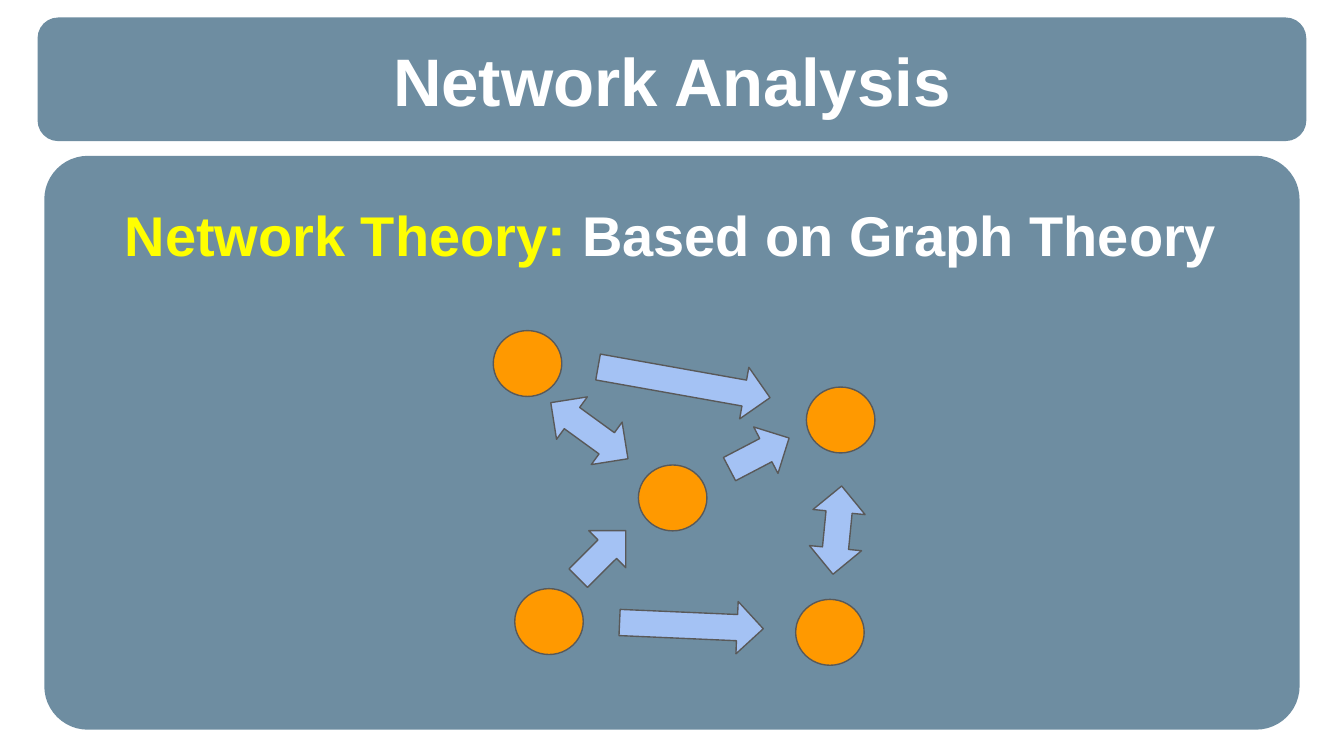
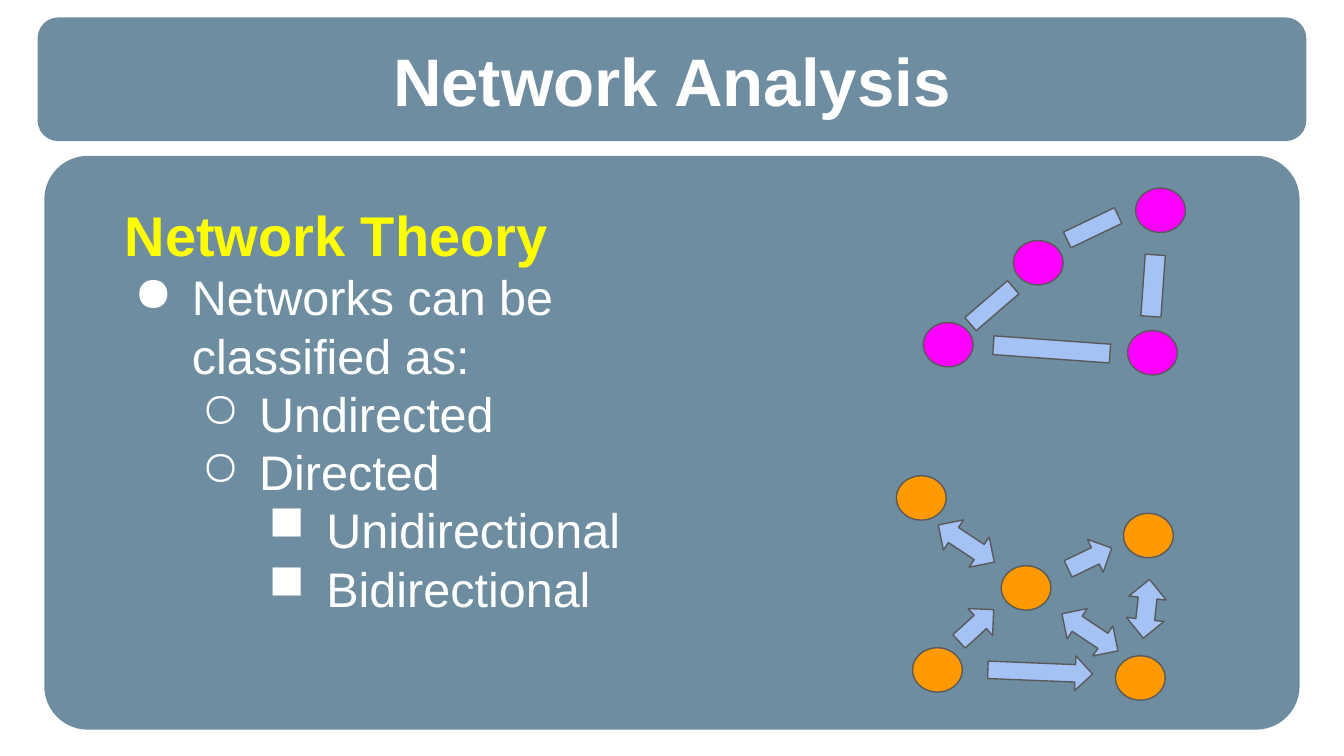
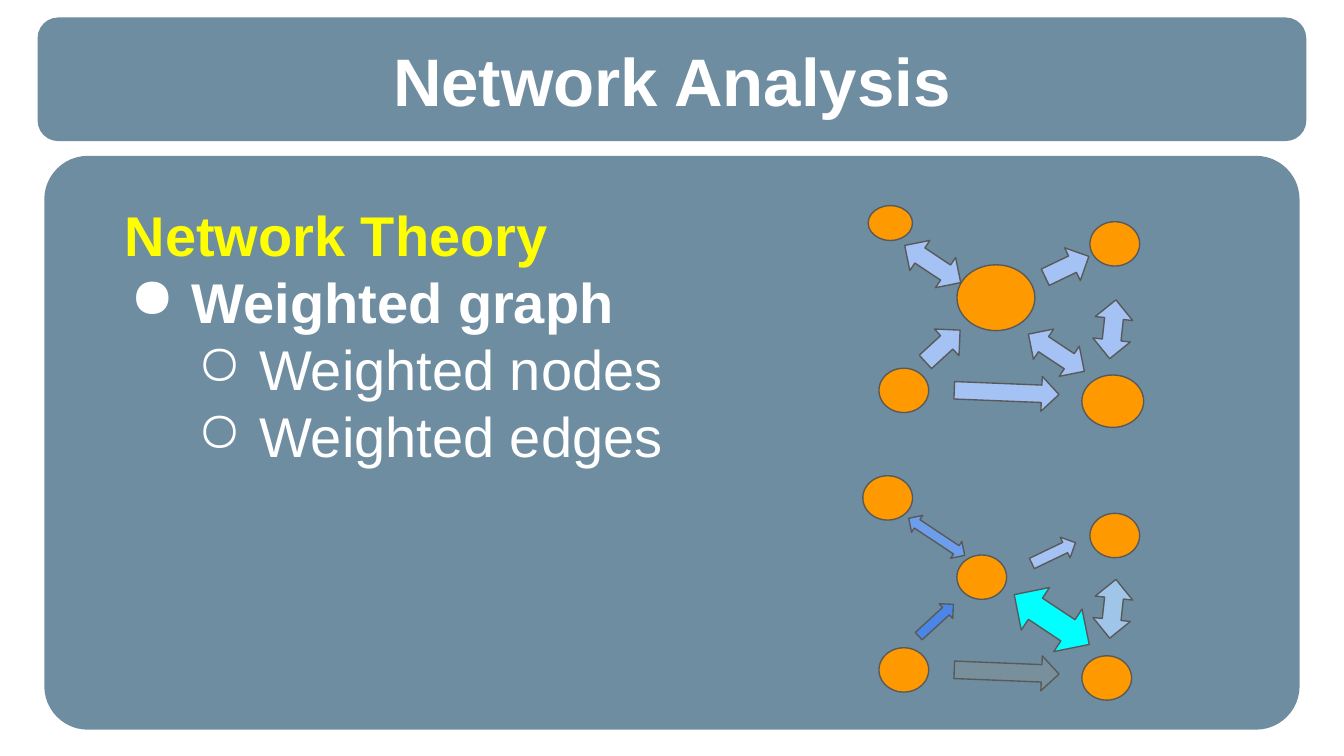
from typing import NamedTuple, Optional

import pptx
import pptx.dml.color
import pptx.enum.shapes
import pptx.enum.text
import pptx.oxml
import pptx.oxml.ns
import pptx.presentation
import pptx.shapes.autoshape
import pptx.slide
import pptx.text.text
import pptx.util

SHAPE = pptx.enum.shapes.MSO_SHAPE
ALIGN = pptx.enum.text.PP_ALIGN
ANCHOR = pptx.enum.text.MSO_ANCHOR

# The grid has 100 columns and 56.25 rows of equal size.
CELL = pptx.util.Inches(0.1)
COLUMNS, ROWS = 100, 56.25

FONT = "Arial"
COLORS = {
    "band": "215170",
    "white": "FFFFFF",
    "heading": "FFFF00",
    "outline": "595959",
    "orange": "FF9900",
    "magenta": "FF00FF",
    "edge": "A4C2F4",
    "gray": "78909C",
    "blue": "6D9EEB",
    "dark blue": "4A86E8",
    "pale blue": "9FC5E8",
    "cyan": "00FFFF",
}
BAND_OPACITY = 65
BULLETS = "●○■"


class Mark(NamedTuple):
    """A node or an edge of a network, in grid cells and degrees."""
    kind: SHAPE
    left: float
    top: float
    width: float
    height: float
    rotation: float = 0
    color: str = "edge"


class Band(NamedTuple):
    left: float
    top: float
    width: float
    height: float
    rounding: float


class Line(NamedTuple):
    """A bulleted line of the outline."""
    text: str
    level: int
    bold: bool = False


BANDS = [Band(2.8, 1.3, 94.4, 9.2, 0.167), Band(3.3, 11.6, 93.4, 42.7, 0.076)]


def node(left: float, top: float, color: str = "orange",
         width: float = 3.7, height: float = 3.3) -> Mark:
    return Mark(SHAPE.OVAL, left, top, width, height, 0, color)


def one_way(left: float, top: float, width: float, height: float, rotation: float) -> Mark:
    return Mark(SHAPE.RIGHT_ARROW, left, top, width, height, rotation)


def two_way(left: float, top: float, width: float, height: float, rotation: float) -> Mark:
    return Mark(SHAPE.LEFT_RIGHT_ARROW, left, top, width, height, rotation)


def undirected(left: float, top: float, width: float, height: float, rotation: float) -> Mark:
    return Mark(SHAPE.RECTANGLE, left, top, width, height, rotation)


THEORY_NETWORK = [
    *(node(left, top, width=5.1, height=4.9) for left, top in
      [(36.7, 24.6), (47.5, 34.6), (38.3, 43.8), (60, 28.8), (59.2, 44.6)]),
    one_way(44.4, 26.5, 13, 3.9, 10.1),
    one_way(46.1, 44.6, 10.7, 3.9, 2.5),
    two_way(40.3, 30.1, 7.1, 3.9, 36),
    two_way(59, 37.5, 6.6, 3.9, 95.6),
    one_way(42.3, 39.3, 5, 3.9, 315),
    one_way(54, 31.8, 5, 3.9, 332.4),
]

UNDIRECTED_NETWORK = [
    *(node(left, top, "magenta") for left, top in
      [(75.4, 17.9), (68.7, 24), (84.5, 14), (83.9, 24.6)]),
    undirected(79.2, 16.3, 4.2, 1.3, 334.4),
    undirected(83.5, 20.5, 4.6, 1.5, 274.1),
    undirected(71.7, 22.1, 4.2, 1.3, 319.2),
    undirected(73.9, 25.3, 8.7, 1.4, 4.1),
]

DIRECTED_NETWORK = {
    "top left": node(66.7, 35.4),
    "middle": node(74.5, 42.1),
    "bottom left": node(67.9, 48.2),
    "top right": node(83.6, 38.2),
    "bottom right": node(83, 48.8),
    "along bottom": one_way(73.5, 48.7, 7.8, 2.6, 2.3),
    "top left to middle": two_way(69.4, 39.1, 5, 2.7, 33.6),
    "along right": two_way(83.1, 43.9, 4.4, 2.8, 96.1),
    "bottom left to middle": one_way(70.9, 45.2, 3.5, 2.7, 317.5),
    "middle to top right": one_way(79.3, 40.2, 3.6, 2.7, 334.4),
    "middle to bottom right": two_way(78.6, 45.7, 5, 2.7, 33.6),
}

WEIGHTED_NODES = {
    "top left": dict(left=64.6, top=15.3, width=3.3, height=2.6),
    "middle": dict(left=71.2, top=19.7, width=5.8, height=4.9),
    "top right": dict(top=16.5),
    "bottom right": dict(top=27.9, width=4.6, height=3.9),
    "middle to top right": dict(left=77.6, top=18.5),
}

WEIGHTED_EDGES = {
    "middle": dict(left=71.2, top=41.3),
    "along bottom": dict(color="gray"),
    "top left to middle": dict(left=67.2, top=39.2, height=1.5, color="blue"),
    "along right": dict(color="pale blue"),
    "bottom left to middle": dict(left=67.9, top=45.4, height=1.5, color="dark blue"),
    "middle to top right": dict(left=76.6, top=40.3, height=1.7),
    "middle to bottom right": dict(left=74.9, top=44.2, width=6.7, height=3.8, color="cyan"),
}


def vary_directed(right: float, down: float, changes: dict[str, dict]) -> list[Mark]:
    """Move the directed network, then change the named marks."""
    return [
        mark._replace(left=mark.left + right, top=mark.top + down)._replace(**changes.get(name, {}))
        for name, mark in DIRECTED_NETWORK.items()
    ]


def cells(*counts: float) -> list[int]:
    return [round(count * CELL) for count in counts]


def rgb(name: str) -> pptx.dml.color.RGBColor:
    return pptx.dml.color.RGBColor.from_string(COLORS[name])


def add_filled_shape(slide: pptx.slide.Slide, item: Mark | Band, kind: SHAPE,
                     color: str) -> pptx.shapes.autoshape.Shape:
    shape = slide.shapes.add_shape(kind, *cells(item.left, item.top, item.width, item.height))
    shape.shadow.inherit = False
    shape.fill.solid()
    shape.fill.fore_color.rgb = rgb(color)
    return shape


def draw_band(slide: pptx.slide.Slide, band: Band) -> None:
    shape = add_filled_shape(slide, band, SHAPE.ROUNDED_RECTANGLE, "band")
    shape.adjustments[0] = band.rounding
    shape.line.fill.background()
    color = next(shape.element.iter(pptx.oxml.ns.qn("a:srgbClr")))
    add_element(color, "alpha", val=str(BAND_OPACITY * 1000))


def draw_network(slide: pptx.slide.Slide, marks: list[Mark]) -> None:
    for mark in marks:
        shape = add_filled_shape(slide, mark, mark.kind, mark.color)
        shape.rotation = mark.rotation
        shape.line.color.rgb = rgb("outline")
        shape.line.width = pptx.util.Pt(0.75)


def add_element(parent, tag: str, **attributes: str):
    element = parent.makeelement(pptx.oxml.ns.qn(f"a:{tag}"), attributes)
    parent.append(element)
    return element


def add_text_box(slide: pptx.slide.Slide, left: float, top: float, width: float,
                 height: float, anchor: ANCHOR = ANCHOR.TOP) -> pptx.text.text.TextFrame:
    frame = slide.shapes.add_textbox(*cells(left, top, width, height)).text_frame
    frame.word_wrap = True
    frame.vertical_anchor = anchor
    frame.margin_left = frame.margin_top = frame.margin_right = frame.margin_bottom = CELL
    return frame


def add_text(paragraph, text: str, *, size: float = 30, color: str = "white",
             bold: bool = False) -> None:
    run = paragraph.add_run()
    run.text = text
    run.font.name = FONT
    run.font.size = pptx.util.Pt(size)
    run.font.bold = bold
    run.font.color.rgb = rgb(color)


def set_bullet(paragraph, level: int, hanging: float) -> None:
    paragraph.level = level
    properties = paragraph._p.get_or_add_pPr()
    left, indent = cells(5 * (level + 1), -hanging)
    properties.set("marL", str(left))
    properties.set("indent", str(indent))
    add_element(add_element(properties, "buClr"), "srgbClr", val=COLORS["white"])
    add_element(properties, "buChar", char=BULLETS[level])


def add_outline(slide: pptx.slide.Slide, lines: list[Line], size: float, hanging: float) -> None:
    frame = add_text_box(slide, 8.3, 13.9, 46.6, 38.5)
    add_text(frame.paragraphs[0], "Network Theory", color="heading", bold=True)
    for line in lines:
        paragraph = frame.add_paragraph()
        set_bullet(paragraph, line.level, hanging)
        add_text(paragraph, line.text, size=size, bold=line.bold)


def add_slide(presentation: pptx.presentation.Presentation,
              title: Optional[str] = "Network Analysis") -> pptx.slide.Slide:
    """Add a blank slide with the shared bands and title."""
    slide = presentation.slides.add_slide(presentation.slide_layouts[6])
    for band in BANDS:
        draw_band(slide, band)
    paragraph = add_text_box(slide, 3.3, 2.9, 93.4, 6, ANCHOR.MIDDLE).paragraphs[0]
    paragraph.alignment = ALIGN.CENTER
    add_text(paragraph, title, size=36, bold=True)
    return slide


def add_theory_slide(presentation: pptx.presentation.Presentation) -> None:
    slide = add_slide(presentation)
    paragraph = add_text_box(slide, 8.3, 13.9, 83.9, 8.3).paragraphs[0]
    add_text(paragraph, "Network Theory: ", color="heading", bold=True)
    add_text(paragraph, "Based on Graph Theory", bold=True)
    draw_network(slide, THEORY_NETWORK)


def add_classes_slide(presentation: pptx.presentation.Presentation) -> None:
    slide = add_slide(presentation)
    add_outline(slide, [
        Line("Networks can be classified as:", 0),
        Line("Undirected", 1),
        Line("Directed", 1),
        Line("Unidirectional", 2),
        Line("Bidirectional", 2),
    ], size=26, hanging=4.3)
    draw_network(slide, list(DIRECTED_NETWORK.values()))
    draw_network(slide, UNDIRECTED_NETWORK)


def add_weights_slide(presentation: pptx.presentation.Presentation) -> None:
    slide = add_slide(presentation)
    add_outline(slide, [
        Line("Weighted graph", 0, bold=True),
        Line("Weighted nodes", 1),
        Line("Weighted edges", 1),
    ], size=30, hanging=4.6)
    draw_network(slide, vary_directed(-2.5, -20.8, WEIGHTED_NODES))
    draw_network(slide, vary_directed(-2.5, 0, WEIGHTED_EDGES))


def main() -> None:
    presentation = pptx.Presentation()
    presentation.slide_width, presentation.slide_height = cells(COLUMNS, ROWS)
    add_theory_slide(presentation)
    add_classes_slide(presentation)
    add_weights_slide(presentation)
    presentation.save("out.pptx")


if __name__ == "__main__":
    main()
